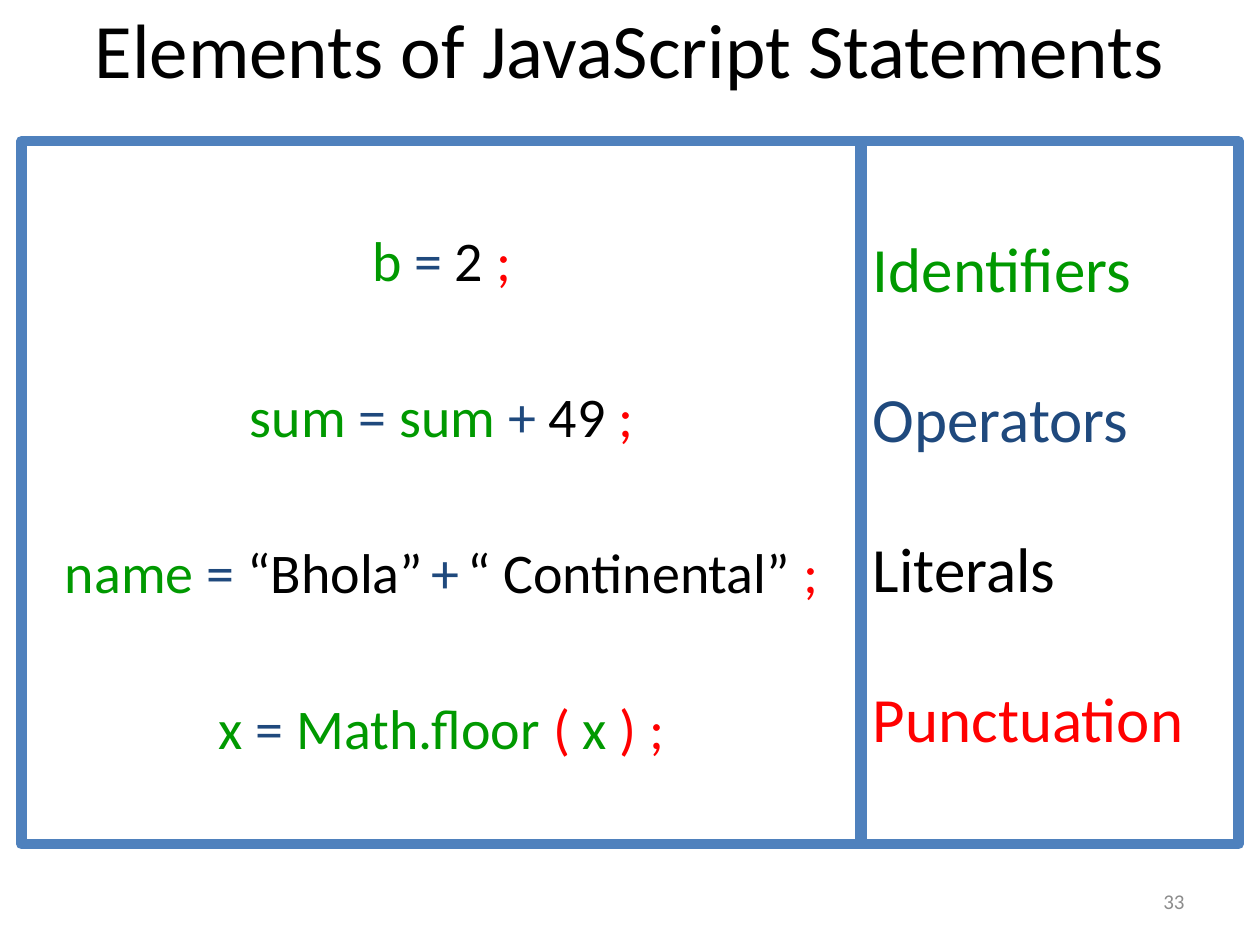
from pptx import Presentation
from pptx.dml.color import RGBColor
from pptx.enum import shapes, text
from pptx.util import Inches, Pt

FONT = "Calibri"
IDENT, OPER, LITERAL, PUNCT = "009900", "1F497D", "000000", "FF0000"
BORDER, GREY = "4F81BD", "8C8C8C"
LEFT, CENTER, RIGHT = text.PP_ALIGN.LEFT, text.PP_ALIGN.CENTER, text.PP_ALIGN.RIGHT

# Each line is a list of runs: (text, colour[, size])
TITLE = [[("Elements of JavaScript Statements", LITERAL)]]
NUMBER = [[("33", GREY)]]
STATEMENTS = [
    [("b ", IDENT), ("=", OPER), (" 2 ", LITERAL), (";", PUNCT)],
    [("sum ", IDENT), ("= ", OPER), ("sum ", IDENT), ("+", OPER),
     (" 49 ", LITERAL), (";", PUNCT)],
    [("name ", IDENT), ("=", OPER), (" “Bhola”", LITERAL), (" ", LITERAL, 20),
     ("+", OPER), (" ", LITERAL, 20), ("“ Continental” ", LITERAL), (";", PUNCT)],
    [("x ", IDENT), ("= ", OPER), ("Math.floor ", IDENT), ("( ", PUNCT),
     ("x ", IDENT), (") ;", PUNCT)],
]
LEGEND = [[("Identifiers", IDENT)], [("Operators", OPER)],
          [("Literals", LITERAL)], [("Punctuation", PUNCT)]]


def rgb(value):
    return RGBColor.from_string(value)


def write(sp, lines, size, align, first=0, gap=0):
    """Fill a shape with coloured lines, `gap` points apart."""
    tf = sp.text_frame
    tf.word_wrap = True
    tf.vertical_anchor = text.MSO_ANCHOR.MIDDLE
    for i, line in enumerate(lines):
        p = tf.add_paragraph() if i else tf.paragraphs[0]
        p.alignment = align
        p.space_before = Pt(gap if i else first)
        for words, color, *own_size in line:
            r = p.add_run()
            r.text = words
            r.font.name = FONT
            r.font.size = Pt(own_size[0] if own_size else size)
            r.font.color.rgb = rgb(color)


def label(slide, box, *args):
    write(slide.shapes.add_textbox(*map(Inches, box)), *args)


def panel(slide, box, *args):
    sp = slide.shapes.add_shape(shapes.MSO_SHAPE.RECTANGLE, *map(Inches, box))
    sp.shadow.inherit = False
    sp.fill.background()
    sp.line.color.rgb = rgb(BORDER)
    sp.line.width = Pt(6)
    write(sp, *args)


def main():
    prs = Presentation()
    prs.slide_width, prs.slide_height = Inches(10), Inches(7.5)
    slide = prs.slides.add_slide(prs.slide_layouts[6])

    # Title and slide number
    label(slide, (0, -0.25, 10, 1.25), TITLE, 44, CENTER)
    label(slide, (7.17, 6.95, 2.33, 0.4), NUMBER, 12, RIGHT)

    # Statements beside the colour legend
    top, height = 1.12, 5.58
    panel(slide, (0.17, top, 6.67, height), STATEMENTS, 32, CENTER, 6, 50.7)
    panel(slide, (6.83, top, 3, height), LEGEND, 36, LEFT, 3, 42.5)

    prs.save("out.pptx")


if __name__ == "__main__":
    main()
